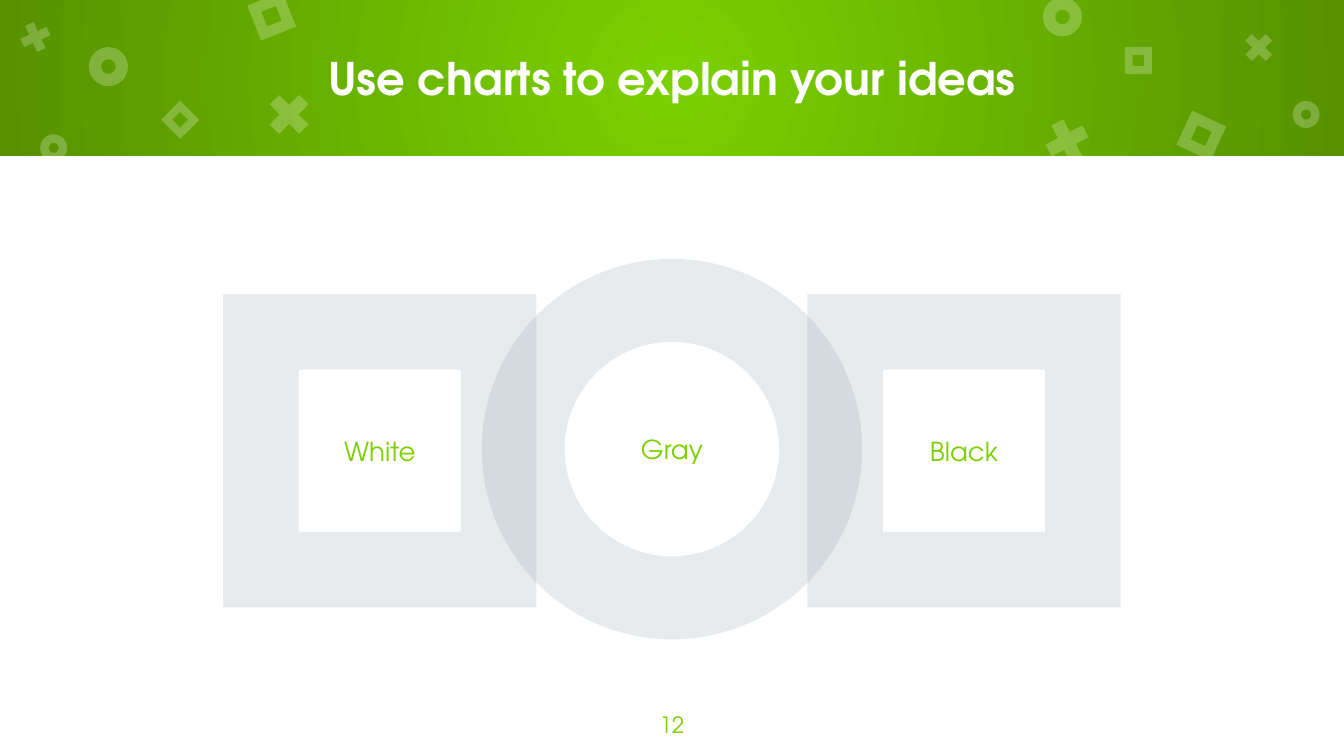
"""Build a slide with a decorated green header and three overlapping labelled shapes."""
from lxml import etree
from pptx import Presentation
from pptx.dml.color import RGBColor
from pptx.enum.shapes import MSO_SHAPE
from pptx.enum.text import MSO_ANCHOR, PP_ALIGN
from pptx.oxml import parse_xml
from pptx.oxml.ns import nsdecls, qn
from pptx.util import Cm, Pt

RECTANGLE, DONUT, FRAME, CROSS = (
    MSO_SHAPE.RECTANGLE, MSO_SHAPE.DONUT, MSO_SHAPE.FRAME, MSO_SHAPE.MATH_MULTIPLY)
TOP, MIDDLE, CENTER = MSO_ANCHOR.TOP, MSO_ANCHOR.MIDDLE, PP_ALIGN.CENTER

WIDTH, HEIGHT, HEADER = 25.4, 14.29, 2.95
GREEN, DARK_GREEN, WHITE, GRAY = "7BD100", "569200", "FFFFFF", "667F8C"
FONT = "TeX Gyre Adventor"
TITLE_STYLE = {"size": Pt(24), "bold": True, "name": FONT}
LABEL_STYLE = {"size": Pt(14), "bold": False, "name": FONT}
NUMBER_STYLE = {"size": Pt(12), "bold": False, "name": FONT}

TITLE = "Use charts to explain your ideas"
NUMBER = "12"
ORNAMENT_ADJUSTMENT = {DONUT: 0.31, CROSS: 0.235, FRAME: 0.289}
ORNAMENTS = [
    (DONUT, 1.68, 0.89, 0.74, 0),
    (CROSS, 4.93, 1.63, 1.07, 0),
    (FRAME, 4.78, -0.05, 0.71, 338.4),
    (DONUT, 19.71, -0.05, 0.74, 0),
    (CROSS, 19.63, 2.13, 1.07, 17.5),
    (FRAME, 22.35, 2.21, 0.71, 25),
    (DONUT, 0.76, 2.54, 0.51, 0),
    (CROSS, 0.3, 0.33, 0.74, 20.4),
    (FRAME, 3.15, 2.01, 0.51, 45),
    (DONUT, 24.43, 1.91, 0.51, 0),
    (CROSS, 23.42, 0.53, 0.74, 0),
    (FRAME, 21.26, 0.89, 0.51, 0),
]
DIAGRAM_SPACING = 5.52
DIAGRAM = [
    ("Gray", DONUT, 0, 8.49, 7.19, 0.218),
    ("White", FRAME, -1, 8.52, 5.92, 0.241),
    ("Black", FRAME, 1, 8.52, 5.92, 0.241),
]


def color(value):
    return RGBColor.from_string(value)


def add_block(page, kind, left, top, width, height, fill, opacity=100):
    block = page.shapes.add_shape(kind, Cm(left), Cm(top), Cm(width), Cm(height))
    block.shadow.inherit = False
    block.line.fill.background()
    block.fill.solid()
    block.fill.fore_color.rgb = color(fill)
    if opacity < 100:
        tint = block.fill._xPr.find(qn("a:solidFill"))[0]
        etree.SubElement(tint, qn("a:alpha"), val=str(opacity * 1000))
    return block


def set_radial_gradient(block, inner, outer):
    properties = block.fill._xPr
    gradient = parse_xml(
        f'<a:gradFill {nsdecls("a")} rotWithShape="1"><a:gsLst>'
        f'<a:gs pos="0"><a:srgbClr val="{inner}"/></a:gs>'
        f'<a:gs pos="100000"><a:srgbClr val="{outer}"/></a:gs></a:gsLst>'
        '<a:path path="circle"><a:fillToRect l="50000" t="50000" r="50000" b="50000"/>'
        '</a:path></a:gradFill>')
    properties.replace(properties.find(qn("a:solidFill")), gradient)


def write_text(box, text, style, fill, anchor=MIDDLE):
    frame = box.text_frame
    margins = {f"margin_{side}": Cm(0.25) for side in ("left", "right", "top", "bottom")}
    layout = {"word_wrap": True, "vertical_anchor": anchor, **margins}
    for name, value in layout.items():
        setattr(frame, name, value)
    para = frame.paragraphs[0]
    para.alignment = CENTER
    span = para.add_run()
    span.text = text
    for name, value in style.items():
        setattr(span.font, name, value)
    span.font.color.rgb = color(fill)


def add_text(page, left, top, width, height, *content):
    box = page.shapes.add_textbox(Cm(left), Cm(top), Cm(width), Cm(height))
    write_text(box, *content)


def main():
    deck = Presentation()
    deck.slide_width, deck.slide_height = Cm(WIDTH), Cm(HEIGHT)
    page = deck.slides.add_slide(deck.slide_layouts[6])
    page.background.fill.solid()
    page.background.fill.fore_color.rgb = color(GREEN)

    header = add_block(page, RECTANGLE, 0, 0, WIDTH, HEADER, GREEN)
    set_radial_gradient(header, GREEN, DARK_GREEN)
    add_block(page, RECTANGLE, 0, HEADER, WIDTH, HEIGHT - HEADER, WHITE)

    for kind, left, top, size, angle in ORNAMENTS:
        ornament = add_block(page, kind, left, top, size, size, WHITE, 24)
        ornament.adjustments[0] = ORNAMENT_ADJUSTMENT[kind]
        ornament.rotation = angle

    add_text(page, 1.27, 0, WIDTH - 2 * 1.27, HEADER, TITLE, TITLE_STYLE, WHITE)

    for label, kind, column, middle, size, thickness in DIAGRAM:
        left = WIDTH / 2 + column * DIAGRAM_SPACING - size / 2
        part = add_block(page, kind, left, middle - size / 2, size, size, GRAY, 15)
        part.adjustments[0] = thickness
        write_text(part, label, LABEL_STYLE, GREEN)

    add_text(page, 11.94, 13.19, 1.52, 1.1, NUMBER, NUMBER_STYLE, GREEN, TOP)
    deck.save("out.pptx")


if __name__ == "__main__":
    main()
